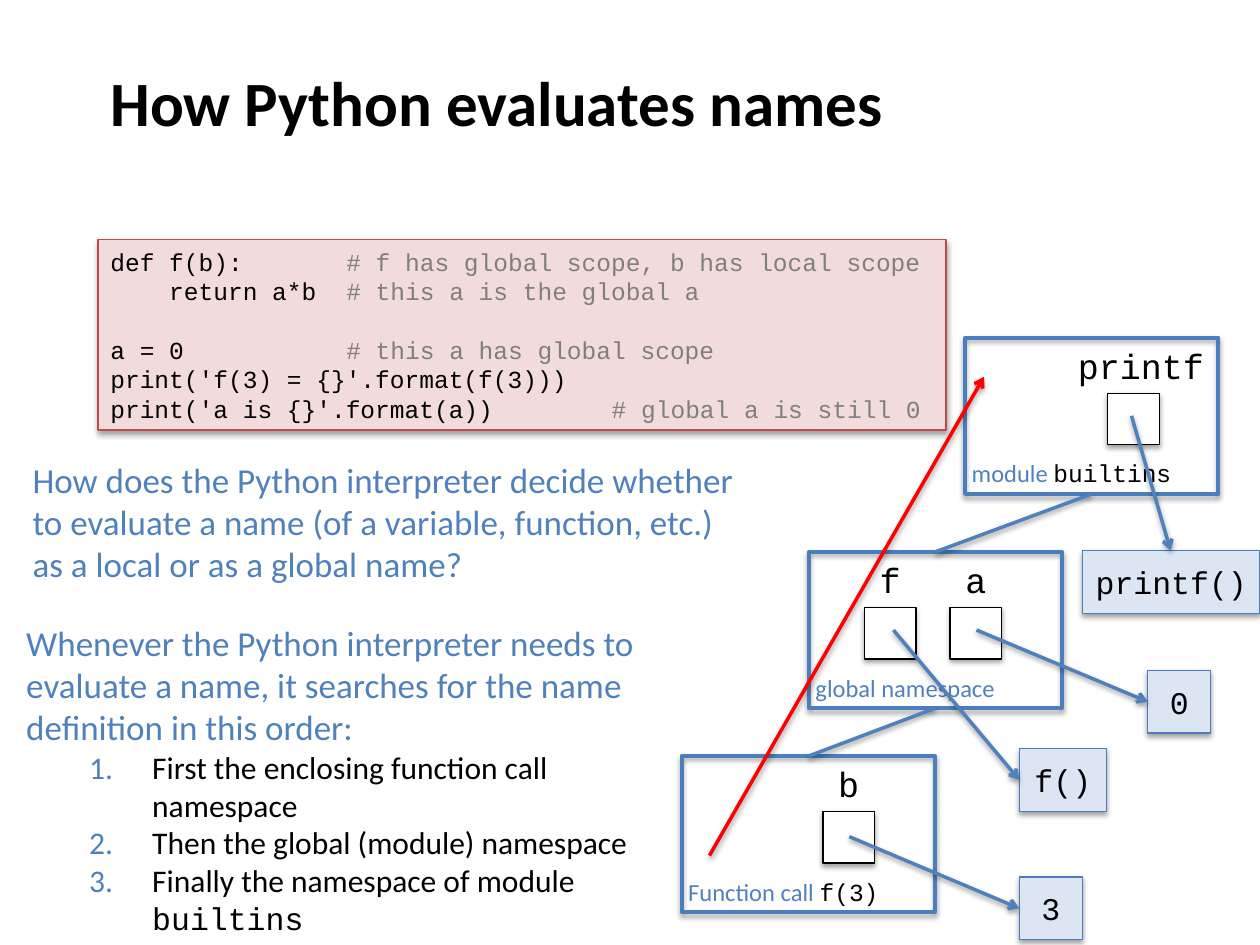
from lxml import etree
from pptx import Presentation
from pptx.dml.color import RGBColor
from pptx.enum import shapes, text
from pptx.oxml import ns
from pptx.util import Pt

BLACK = RGBColor(0, 0, 0)
WHITE = RGBColor(0xFF, 0xFF, 0xFF)
BLUE = RGBColor(0x4F, 0x81, 0xBD)
EDGE = RGBColor(0x4B, 0x7E, 0xBC)
PALE = RGBColor(0xDC, 0xE6, 0xF2)
PINK = RGBColor(0xF2, 0xDC, 0xDB)
BRICK = RGBColor(0xBF, 0x4C, 0x48)
GRAY = RGBColor(0x7F, 0x7F, 0x7F)
RED = RGBColor(0xFF, 0, 0)
SANS, MONO = "Calibri", "Courier New"
LEFT, CENTER = text.PP_ALIGN.LEFT, text.PP_ALIGN.CENTER

prs = Presentation()
prs.slide_width, prs.slide_height = Pt(720), Pt(540)
s = prs.slides.add_slide(prs.slide_layouts[6])


def add_text(paragraphs, box, size=20, font=SANS, color=BLUE, bold=False,
             align=LEFT, wrap=True, fill=None, line=None, width=0.75):
    """Add a text box, or a rectangle if it has a line; runs are (text, overrides)."""
    if line is None:
        sp = s.shapes.add_textbox(*map(Pt, box))
    else:
        sp = s.shapes.add_shape(shapes.MSO_SHAPE.RECTANGLE, *map(Pt, box))
        sp.line.color.rgb, sp.line.width = line, Pt(width)
        if fill is None:
            sp.fill.background()
        else:
            sp.fill.solid()
            sp.fill.fore_color.rgb = fill
        add_shadow(sp)
    tf = sp.text_frame
    tf.word_wrap = wrap
    tf.vertical_anchor = text.MSO_ANCHOR.MIDDLE
    for i, runs in enumerate(paragraphs):
        p = tf.add_paragraph() if i else tf.paragraphs[0]
        p.alignment = align
        for words, form in runs:
            r = p.add_run()
            r.text = words
            r.font.size = Pt(form.get("size", size))
            r.font.name = form.get("font", font)
            r.font.color.rgb = form.get("color", color)
            r.font.bold = bold
    return tf


def add_shadow(sp):
    """Give a shape or connector a soft shadow straight below it."""
    effects = etree.SubElement(sp._element.spPr, ns.qn("a:effectLst"))
    shadow = etree.SubElement(effects, ns.qn("a:outerShdw"), blurRad=str(Pt(3.1)),
                              dist=str(Pt(1.7)), dir="5400000", rotWithShape="0")
    black = etree.SubElement(shadow, ns.qn("a:srgbClr"), val="000000")
    etree.SubElement(black, ns.qn("a:alpha"), val="36000")


add_text([[("How Python evaluates names", {})]], (56, 0, 612, 116),
         size=36, color=BLACK, bold=True)

add_text([[("How does the Python interpreter decide whether to evaluate a name "
            "(of a variable, function, etc.) as a local or as a global name?", {})]],
         (11.5, 257.8, 423.4, 80))

# Search order, with a numbered list
item = {"size": 18, "color": BLACK}
tf = add_text([
    [("Whenever the Python interpreter needs to evaluate a name, it searches "
      "for the name definition in this order:", {})],
    [("First the enclosing function call namespace", item)],
    [("Then the global (module) namespace", item)],
    [("Finally the namespace of module ", item), ("builtins", item | {"font": MONO})],
], (7.9, 350.6, 378, 189.4))
for p in tf.paragraphs[1:]:
    p.level = 1
    pPr = p._p.get_or_add_pPr()
    pPr.set("marL", str(Pt(72)))
    pPr.set("indent", str(Pt(-36)))
    bullet_color = etree.SubElement(pPr, ns.qn("a:buClr"))
    etree.SubElement(bullet_color, ns.qn("a:srgbClr"), val=str(BLUE))
    etree.SubElement(pPr, ns.qn("a:buFont"), typeface="+mj-lt")
    etree.SubElement(pPr, ns.qn("a:buAutoNum"), type="arabicPeriod")

# Code, with the comments padded to their column
code = [
    ("def f(b):", 16, "# f has global scope, b has local scope"),
    ("    return a*b", 16, "# this a is the global a"),
    ("a = 0", 16, "# this a has global scope"),
    ("print('f(3) = {}'.format(f(3)))", 0, ""),
    ("print('a is {}'.format(a))", 34, "# global a is still 0"),
]
tf = add_text([[(part, form) for part, form in
                ((statement.ljust(column), {}), (comment, {"color": GRAY})) if part]
               for statement, column, comment in code],
              (56, 136.8, 484.6, 109), size=14, font=MONO, color=BLACK,
              fill=PINK, line=BRICK)
tf.paragraphs[2].space_before = Pt(16.8)

# Namespaces: left, top, caption width, caption, names (name, centre, width, cell left)
mono = {"font": MONO, "color": BLACK}
namespaces = [
    (389.5, 432, 124, [("Function call ", {}), ("f(3)", mono)],
     [("b", 485, 51, 470.2)]),
    (462.2, 315.4, 118, [("global namespace", {})],
     [("f", 508.7, 51, 493.9), ("a", 557.6, 51, 542.9)]),
    (551.5, 193, 132.5, [("module ", {}), ("builtins", mono)],
     [("printf", 652, 90, 632.9)]),
]
for left, top, caption_width, caption, names in namespaces:
    for name, centre, width, cell_left in names:
        add_text([], (cell_left, top + 31.7, 29.5, 29.5), fill=WHITE, line=BLACK)
        add_text([[(name, {})]], (centre - width / 2, top, width, 31.5),
                 font=MONO, color=BLACK, align=CENTER)
    add_text([], (left, top, 144.7, 89.3), line=EDGE, width=2.25)
    add_text([caption], (left - 3.3, top + 65.3, caption_width, 24.2),
             size=14, wrap=False)

# Values the names refer to
for value, left, top, width in [("3", 582.5, 501.1, 36), ("0", 655.9, 383, 36),
                                ("f()", 582.5, 427.7, 49.7),
                                ("printf()", 618.5, 314.6, 101.5)]:
    add_text([[(value, {})]], (left, top, width, 36), size=18, font=MONO,
             color=BLACK, align=CENTER, fill=PALE, line=EDGE)

# References, links between namespaces, and the search direction
for x1, y1, x2, y2, color, arrow in [
    (485.3, 478.1, 582.5, 519.1, BLUE, True),
    (558, 360, 655.9, 401, BLUE, True),
    (510.5, 360, 582.5, 445.7, BLUE, True),
    (646.6, 237.6, 668.9, 314.6, BLUE, True),
    (462.2, 432, 534.5, 404.7, BLUE, False),
    (534.5, 315.4, 623.9, 282.3, BLUE, False),
    (405.4, 488.9, 562.3, 215.3, RED, True),
]:
    line = s.shapes.add_connector(shapes.MSO_CONNECTOR.STRAIGHT,
                                  Pt(x1), Pt(y1), Pt(x2), Pt(y2))
    line.line.color.rgb, line.line.width = color, Pt(2)
    if arrow:
        etree.SubElement(line.line._get_or_add_ln(), ns.qn("a:tailEnd"), type="arrow")
    add_shadow(line)

prs.save("out.pptx")
